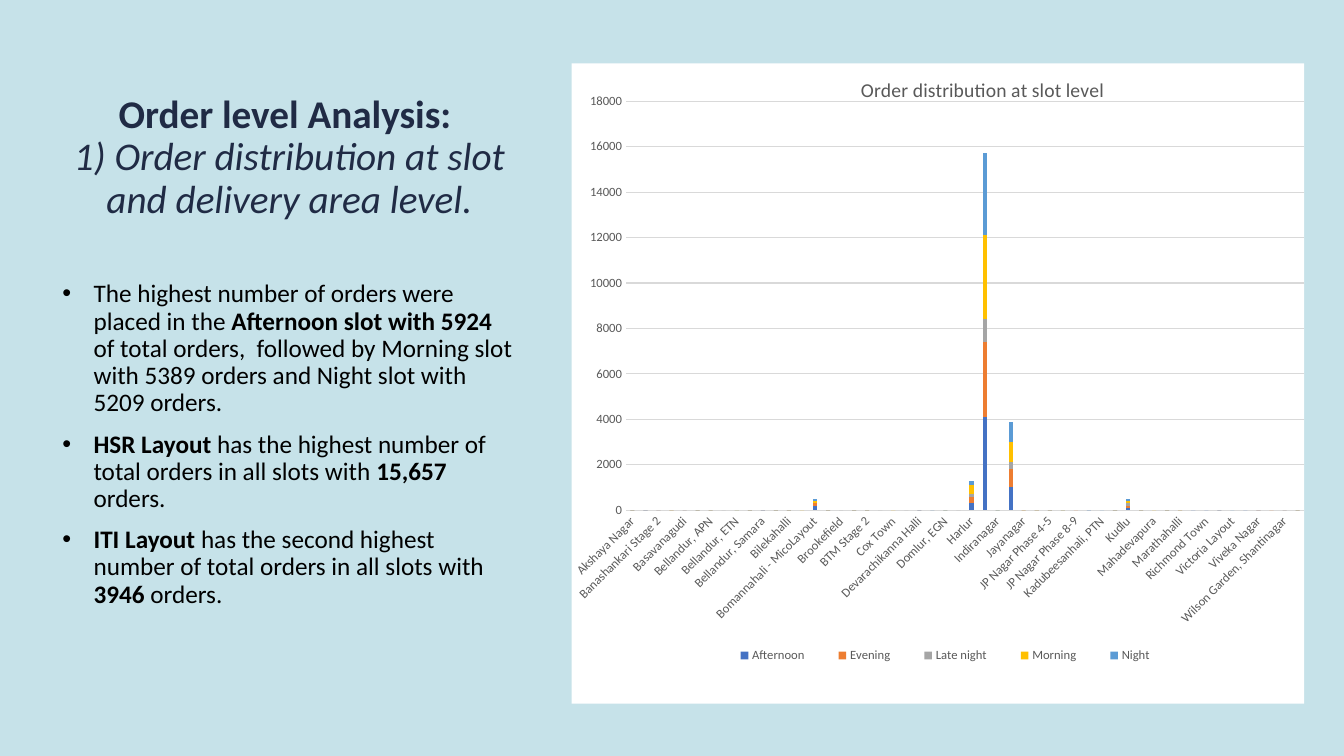
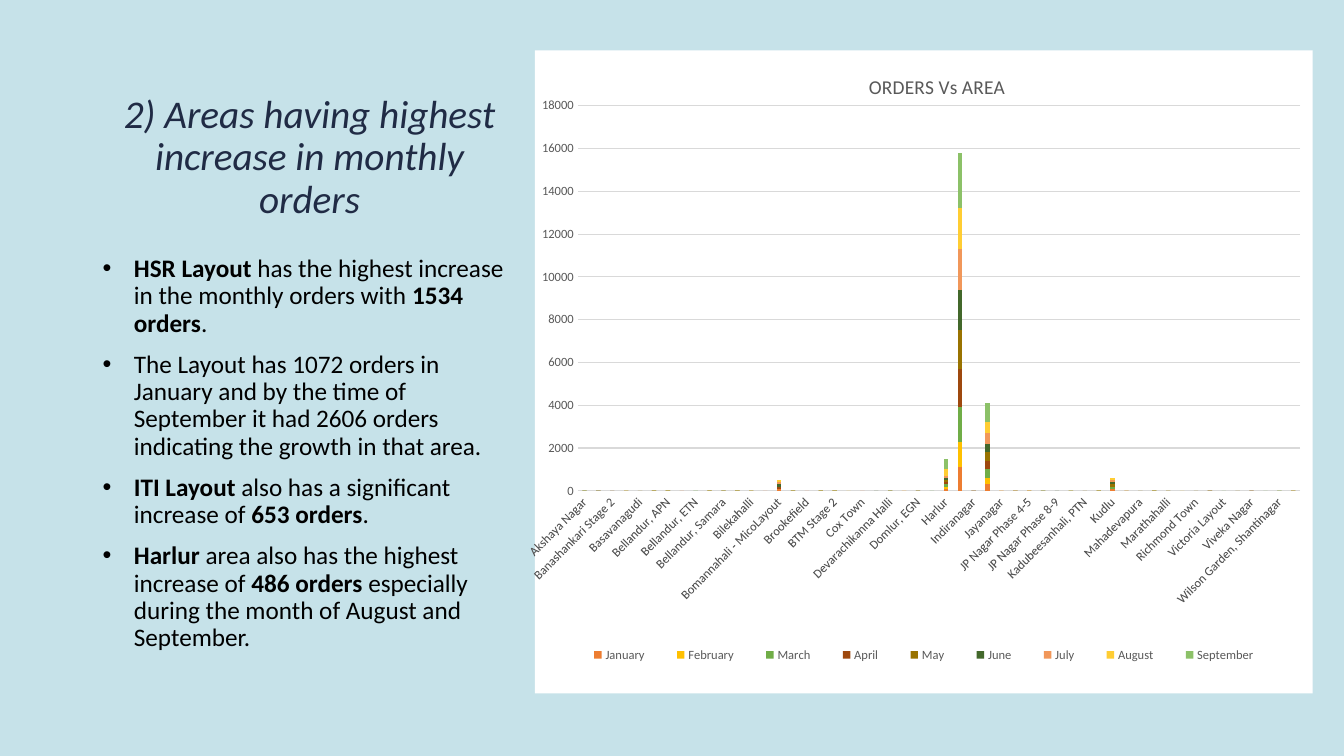
from lxml import etree
from pptx import Presentation
from pptx.chart.data import CategoryChartData
from pptx.dml.color import RGBColor
from pptx.enum.chart import XL_CHART_TYPE, XL_LEGEND_POSITION, XL_TICK_MARK
from pptx.enum.text import MSO_ANCHOR, PP_ALIGN
from pptx.oxml import parse_xml
from pptx.oxml.ns import nsdecls, qn
from pptx.util import Inches, Pt

STACKED = XL_CHART_TYPE.COLUMN_STACKED
LEGEND_BOTTOM = XL_LEGEND_POSITION.BOTTOM
NO_TICK = XL_TICK_MARK.NONE
BOTTOM = MSO_ANCHOR.BOTTOM
CENTER = PP_ALIGN.CENTER

FONT = "Calibri"
PALE_BLUE = RGBColor(0xC6, 0xE2, 0xE9)
NAVY = RGBColor(0x20, 0x2B, 0x45)
BLACK = RGBColor(0, 0, 0)
GREY = RGBColor(0x59, 0x59, 0x59)
LIGHT_GREY = RGBColor(0xD9, 0xD9, 0xD9)
BLUE = RGBColor(0x44, 0x72, 0xC4)
ORANGE = RGBColor(0xED, 0x7D, 0x31)
SILVER = RGBColor(0xA5, 0xA5, 0xA5)
GOLD = RGBColor(0xFF, 0xC0, 0x00)
SKY = RGBColor(0x5B, 0x9B, 0xD5)
GREEN = RGBColor(0x70, 0xAD, 0x47)
BROWN = RGBColor(0x9E, 0x48, 0x0E)
OLIVE = RGBColor(0x99, 0x73, 0x00)
FOREST = RGBColor(0x43, 0x68, 0x2B)
PEACH = RGBColor(0xF1, 0x97, 0x5A)
YELLOW = RGBColor(0xFF, 0xCD, 0x33)
LIME = RGBColor(0x8C, 0xC1, 0x68)

TITLE_BOTTOM = 2.25
TEXT_RIGHT = 5.22
BULLET_INDENT = Inches(0.31)

AREAS = [
    "Akshaya Nagar", "Arekere", "Banashankari Stage 2", "Bannerghatta",
    "Basavanagudi", "Bellandur - Off Sarjapur Road", "Bellandur, APN",
    "Bellandur, Eastpark", "Bellandur, ETN", "Bellandur, Green Glen",
    "Bellandur, Samara", "Bellandur, Sarjapur Road", "Bilekahalli", "Binnipet",
    "Bomannahali - MicoLayout", "Bommanahalli", "Brookefield", "BTM Stage 1",
    "BTM Stage 2", "Challagatta", "Cox Town", "CV Raman Nagar",
    "Devarachikanna Halli", "Doddanekundi", "Domlur, EGN", "Frazer Town",
    "Harlur", "HSR Layout", "Indiranagar", "ITI Layout", "Jayanagar",
    "JP Nagar Phase 1-3", "JP Nagar Phase 4-5", "JP Nagar Phase 6-7",
    "JP Nagar Phase 8-9", "Kadubeesanhali, Parkside", "Kadubeesanhali, PTN",
    "Koramangala, Ejipura", "Kudlu", "Kumaraswamy Layout", "Mahadevapura",
    "Mapleton County", "Marathahalli", "Pattandur", "Richmond Town",
    "Sarjapur Road", "Victoria Layout", "Vimanapura", "Viveka Nagar",
    "Whitefield", "Wilson Garden, Shantinagar", "Yemalur",
]

SLOT_ORDERS = [
    ("Afternoon", BLUE,
     "0 0 - - - 0 0 - - 0 0 0 0 - 200 0 - 0 0 - - - 0 - 0 - "
     "300 4100 0 1000 0 - 0 0 - 0 - 0 100 0 - 0 - 0 0 0 - 0 0 - - 0"),
    ("Evening", ORANGE,
     "0 0 0 0 0 0 0 - - 0 0 0 0 - 100 0 - 0 0 - - - 0 - - - "
     "300 3300 - 800 0 0 0 - 0 - - 0 100 0 - 0 0 - - 0 - - 0 0 0 0"),
    ("Late night", SILVER,
     "0 0 - - - 0 - 0 - 0 0 0 0 - 0 0 0 0 0 0 - 0 0 0 0 0 "
     "100 1000 0 300 - 0 0 0 - 0 - 0 100 - - 0 - - - 0 - - 0 - - -"),
    ("Morning", GOLD,
     "0 - - 0 - 0 0 - 0 0 - 0 0 0 100 0 - 0 0 - 0 - - - 0 - "
     "400 3700 0 900 0 0 0 0 - - - 0 100 0 0 0 0 - - - - - - - - 0"),
    ("Night", SKY,
     "0 0 0 0 0 0 0 - 0 0 0 0 0 - 100 0 - 0 0 - - - 0 0 0 - "
     "200 3600 0 900 - 0 0 - - 0 0 0 100 0 - 0 0 - - 0 0 - - - 0 0"),
]

MONTH_ORDERS = [
    ("January", ORANGE,
     "- 0 - 0 - 0 0 0 - 0 - 0 0 - 100 0 - 0 0 - - - 0 - 0 - "
     "100 1100 - 300 0 0 0 - - - - 0 100 - - 0 0 - - 0 - - - - - -"),
    ("February", GOLD,
     "- - - - - 0 0 - - 0 - 0 - - 0 0 - 0 0 - - - 0 - - - "
     "100 1200 - 300 - - 0 0 - 0 - 0 0 0 - 0 - - - - - - - - - 0"),
    ("March", GREEN,
     "0 - - 0 - 0 0 - 0 0 0 0 0 - 0 0 - 0 0 - - - 0 - 0 0 "
     "100 1600 - 400 - 0 - 0 - 0 - 0 100 - - 0 - - - - - - - - 0 -"),
    ("April", BROWN,
     "0 0 - - - 0 0 - - 0 0 0 - - 100 0 - 0 0 - - - 0 - 0 - "
     "100 1800 0 400 - 0 0 - - - - 0 0 - - 0 - - - 0 - - 0 - - 0"),
    ("May", OLIVE,
     "0 0 - 0 0 0 0 - - 0 0 0 0 - 0 0 - 0 0 - - - - - 0 - "
     "100 1800 0 400 - 0 0 0 - 0 0 0 100 0 0 0 0 - 0 0 - 0 0 - 0 -"),
    ("June", FOREST,
     "0 0 0 - - 0 0 - - 0 0 0 - - 100 0 - 0 0 - - 0 0 - - - "
     "100 1900 0 400 - - - 0 0 - - 0 100 - - 0 - - - 0 - - 0 - - 0"),
    ("July", PEACH,
     "- - 0 - - 0 0 - - 0 0 0 0 0 100 0 0 0 0 - 0 - - 0 - - "
     "100 1900 0 500 0 - - - - 0 - 0 100 0 - 0 - - - 0 - - 0 - - 0"),
    ("August", YELLOW,
     "0 - - 0 - 0 0 - - 0 0 0 0 - 100 0 - 0 0 0 - - - 0 - - "
     "300 1900 - 500 0 0 0 - - - - 0 100 - - 0 - 0 - - - - - - - 0"),
    ("September", LIME,
     "0 0 - - - 0 0 - 0 0 0 0 0 - 0 0 - 0 0 - - - 0 - 0 - "
     "500 2600 - 900 - - - - - 0 - 0 0 - - 0 0 - - 0 0 - - 0 0 0"),
]


def style_font(font, size, color, bold=False, italic=False):
    font.name = FONT
    font.size = Pt(size)
    font.color.rgb = color
    font.bold = bold
    font.italic = italic


def add_run(para, text, size, color, bold=False, italic=False):
    run = para.add_run()
    run.text = text
    style_font(run.font, size, color, bold, italic)


def place(shape, left, top, width, height):
    shape.left, shape.top = Inches(left), Inches(top)
    shape.width, shape.height = Inches(width), Inches(height)


def set_title(slide, left, top, subtitle, heading=None):
    title = slide.shapes.title
    place(title, left, top, TEXT_RIGHT - left, TITLE_BOTTOM - top)
    frame = title.text_frame
    frame.word_wrap = True
    frame.vertical_anchor = BOTTOM
    para = frame.paragraphs[0]
    para.alignment = CENTER
    para.line_spacing = 0.9
    if heading:
        add_run(para, heading, 28, NAVY, bold=True)
        para.add_line_break()
    add_run(para, subtitle, 28, NAVY, italic=True)


def make_bullet(para):
    properties = para._p.get_or_add_pPr()
    properties.set("marL", str(BULLET_INDENT))
    properties.set("indent", str(-BULLET_INDENT))
    font = etree.SubElement(properties, qn("a:buFont"))
    font.set("typeface", "Arial")
    etree.SubElement(properties, qn("a:buChar")).set("char", "•")


def add_bullets(slide, left, top, height, bullets):
    box = slide.shapes.add_textbox(0, 0, 0, 0)
    place(box, left, top, TEXT_RIGHT - left, height)
    frame = box.text_frame
    frame.word_wrap = True
    for index, runs in enumerate(bullets):
        para = frame.add_paragraph() if index else frame.paragraphs[0]
        para.line_spacing = 0.9
        para.space_before = Pt(10)
        make_bullet(para)
        for text, bold in runs:
            add_run(para, text, 18, BLACK, bold)


def set_layout(chart, tag, position, percents, inner=False):
    parent = chart.element.find(".//" + qn(tag))
    old = parent.find(qn("c:layout"))
    if old is not None:
        parent.remove(old)
    layout = etree.Element(qn("c:layout"))
    manual = etree.SubElement(layout, qn("c:manualLayout"))
    settings = [("layoutTarget", "inner")] if inner else []
    settings += [("xMode", "edge"), ("yMode", "edge")]
    settings += [(name, percent / 100) for name, percent in zip("xywh", percents)]
    for name, value in settings:
        etree.SubElement(manual, qn("c:" + name)).set("val", str(value))
    parent.insert(position, layout)


def fill_chart_white(chart):
    chart.element.find(qn("c:chart")).addnext(parse_xml(
        f'<c:spPr {nsdecls("c", "a")}><a:solidFill><a:srgbClr val="FFFFFF"/>'
        '</a:solidFill><a:ln><a:noFill/></a:ln></c:spPr>'))


def style_axes(chart):
    for axis in (chart.category_axis, chart.value_axis):
        axis.major_tick_mark = axis.minor_tick_mark = NO_TICK
        style_font(axis.tick_labels.font, 9, GREY)
    areas, orders = chart.category_axis, chart.value_axis
    orders.minimum_scale, orders.maximum_scale = 0, 18000
    orders.major_unit = 2000
    orders.has_major_gridlines = True
    orders.format.line.fill.background()
    for line in (areas.format.line, orders.major_gridlines.format.line):
        line.color.rgb = LIGHT_GREY
        line.width = Pt(0.75)
    label_body = areas.tick_labels.font._element.getparent().getparent().getparent()
    label_body.find(qn("a:bodyPr")).set("rot", "-2700000")


def add_order_chart(slide, frame, title, series, plot_area, title_area, legend_area):
    data = CategoryChartData()
    data.categories = AREAS
    for name, _, cells in series:
        data.add_series(name, [None if cell == "-" else int(cell) for cell in cells.split()])
    chart = slide.shapes.add_chart(STACKED, *map(Inches, frame), data).chart
    style_font(chart.font, 10, BLACK)
    fill_chart_white(chart)
    style_axes(chart)

    plot = chart.plots[0]
    plot.gap_width, plot.overlap = 219, 100
    plot.vary_by_categories = False
    for bars, (_, color, _) in zip(plot.series, series):
        bars.format.fill.solid()
        bars.format.fill.fore_color.rgb = color

    chart.has_title = True
    add_run(chart.chart_title.text_frame.paragraphs[0], title, 14, GREY)
    chart.has_legend = True
    chart.legend.position = LEGEND_BOTTOM
    chart.legend.include_in_layout = False
    style_font(chart.legend.font, 9, GREY)
    set_layout(chart, "c:plotArea", 0, plot_area, inner=True)
    set_layout(chart, "c:title", 1, title_area)
    set_layout(chart, "c:legend", 1, legend_area)


def add_slot_slide(slide):
    set_title(slide, 0.52, 0.23, "1) Order distribution at slot and delivery area level.",
              "Order level Analysis: ")
    add_bullets(slide, 0.52, 2.74, 3.77, [
        [("The highest number of orders were placed in the ", False),
         ("Afternoon slot with 5924 ", True),
         ("of total orders,  followed by Morning slot with 5389 orders "
          "and Night slot with 5209 orders.", False)],
        [("HSR Layout ", True),
         ("has the highest number of total orders in all slots with ", False),
         ("15,657", True), (" orders.", False)],
        [("ITI Layout ", True),
         ("has the second highest number of total orders in all slots with ", False),
         ("3946", True), (" orders.", False)],
    ])
    add_order_chart(slide, (5.67, 0.63, 7.27, 6.35), "Order distribution at slot level",
                    SLOT_ORDERS, (7.5, 5.9, 92.6, 63.9), (39, 1.5), (19, 90, 64, 5))


def add_month_slide(slide):
    set_title(slide, 0.92, 0.5, "2) Areas having highest increase in monthly orders")
    add_bullets(slide, 0.92, 2.49, 4.38, [
        [("HSR Layout ", True),
         ("has the highest increase in the monthly orders with ", False),
         ("1534 orders", True), (".", False)],
        [("The Layout has 1072 orders in January and by the time of September "
          "it had 2606 orders indicating the growth in that area.", False)],
        [("ITI Layout ", True), ("also has a significant increase of ", False),
         ("653 orders", True), (".", False)],
        [("Harlur", True), (" area also has the highest increase of ", False),
         ("486 orders ", True),
         ("especially during the month of August and September.", False)],
    ])
    add_order_chart(slide, (5.22, 0.5, 7.8, 6.38), "ORDERS Vs AREA", MONTH_ORDERS,
                    (5.5, 8.6, 92.9, 59.9), (42.5, 3), (4, 91.5, 92, 5))


def main():
    deck = Presentation()
    deck.slide_width, deck.slide_height = Inches(13.33), Inches(7.5)
    background = deck.slide_master.background.fill
    background.solid()
    background.fore_color.rgb = PALE_BLUE
    title_only = deck.slide_layouts[5]
    for build in (add_slot_slide, add_month_slide):
        build(deck.slides.add_slide(title_only))
    deck.save("out.pptx")


if __name__ == "__main__":
    main()
